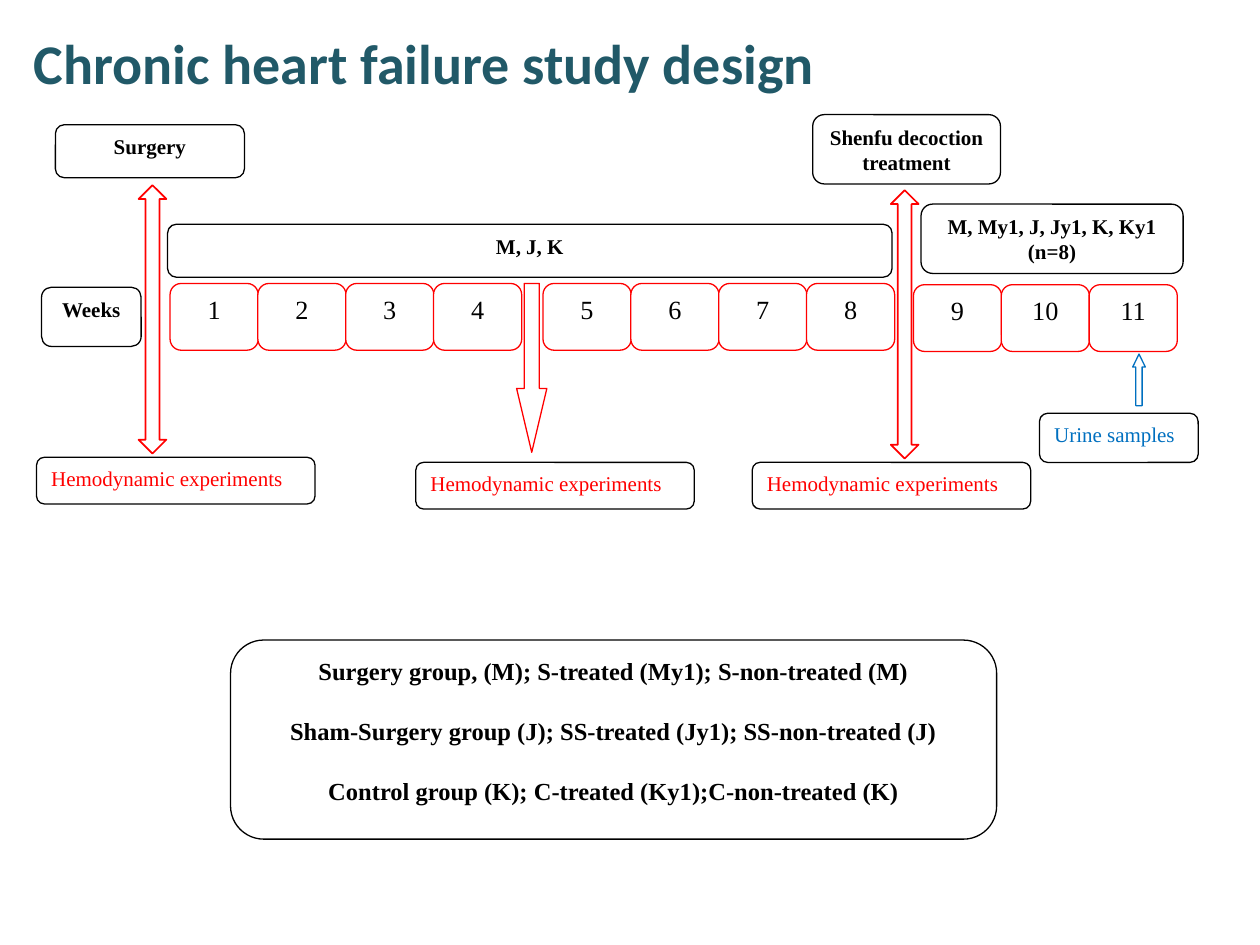
import pptx
import pptx.util
import pptx.dml.color
import pptx.enum.shapes
import pptx.enum.text

Inches, Pt = pptx.util.Inches, pptx.util.Pt
RGBColor = pptx.dml.color.RGBColor
SHAPE = pptx.enum.shapes.MSO_SHAPE
ALIGN = pptx.enum.text.PP_ALIGN
ANCHOR = pptx.enum.text.MSO_ANCHOR

BLACK = RGBColor(0x00, 0x00, 0x00)
WHITE = RGBColor(0xFF, 0xFF, 0xFF)
RED = RGBColor(0xFF, 0x00, 0x00)
BLUE = RGBColor(0x00, 0x70, 0xC0)
TEAL = RGBColor(0x21, 0x59, 0x68)

WEEK_WIDTH, WEEK_HEIGHT = 0.7, 0.53
WEEK_PITCH = 0.697


def add_span(para, text, size, color, bold, font="Times New Roman"):
    span = para.add_run()
    span.text = text
    span.font.name = font
    span.font.size = Pt(size)
    span.font.bold = bold
    span.font.color.rgb = color


def add_outline(page, kind, left, top, width, height, line_color, line_width=0.75):
    """Add a white preset shape with a thin coloured outline."""
    shape = page.shapes.add_shape(
        kind, Inches(left), Inches(top), Inches(width), Inches(height))
    shape.shadow.inherit = False
    shape.fill.solid()
    shape.fill.fore_color.rgb = WHITE
    shape.line.color.rgb = line_color
    shape.line.width = Pt(line_width)
    return shape


def add_box(page, left, top, width, height, lines, size=12, color=BLACK,
            bold=True, line_color=BLACK, align=ALIGN.CENTER, gap=0):
    """Add a rounded box with one paragraph per line, set gap points apart."""
    box = add_outline(page, SHAPE.ROUNDED_RECTANGLE, left, top, width, height, line_color)
    frame = box.text_frame
    frame.word_wrap = True
    frame.vertical_anchor = ANCHOR.TOP
    for index, text in enumerate(lines):
        para = frame.add_paragraph() if index else frame.paragraphs[0]
        para.alignment = align
        if index and gap:
            para.space_before = Pt(gap)
        add_span(para, text, size, color, bold)


def add_title(page, left, top, width, height):
    box = page.shapes.add_textbox(Inches(left), Inches(top), Inches(width), Inches(height))
    frame = box.text_frame
    frame.word_wrap = True
    frame.vertical_anchor = ANCHOR.MIDDLE
    add_span(frame.paragraphs[0], "Chronic heart failure study design", 32, TEAL, True, "Calibri")


def add_weeks(page, left, top, first, last):
    for week in range(first, last + 1):
        add_box(page, left + (week - first) * WEEK_PITCH, top, WEEK_WIDTH, WEEK_HEIGHT,
                [str(week)], size=15, bold=False, line_color=RED)


def add_sample_label(page, left, top, width, height, text, color):
    add_box(page, left, top, width, height, [text], color=color, bold=False,
            align=ALIGN.JUSTIFY)


def add_timeline(page):
    add_box(page, 0.33, 2.28, 0.79, 0.47, ["Weeks"])
    add_box(page, 1.33, 1.78, 5.75, 0.42, ["M, J, K"])
    add_box(page, 7.31, 1.62, 2.08, 0.55, ["M, My1, J, Jy1, K, Ky1 (n=8)"])
    add_weeks(page, 1.35, 2.25, 1, 4)
    add_weeks(page, 4.31, 2.25, 5, 8)
    add_weeks(page, 7.25, 2.26, 9, 11)


def add_events(page):
    add_box(page, 0.44, 0.99, 1.5, 0.42, ["Surgery"])
    add_box(page, 6.45, 0.91, 1.49, 0.55, ["Shenfu decoction treatment"])
    for left, top in ((1.1, 1.47), (7.07, 1.51)):
        add_outline(page, SHAPE.UP_DOWN_ARROW, left, top, 0.22, 2.13, RED, 1)

    midpoint = add_outline(page, SHAPE.RIGHT_ARROW, 3.55, 2.8, 1.34, 0.24, RED)
    midpoint.rotation = 90
    midpoint.adjustments[1] = 2.11

    for left, top in ((0.29, 3.63), (3.3, 3.67), (5.97, 3.67)):
        add_sample_label(page, left, top, 2.21, 0.37, "Hemodynamic experiments", RED)

    urine_arrow = add_outline(page, SHAPE.UP_ARROW, 8.99, 2.81, 0.1, 0.41, BLUE)
    urine_arrow.adjustments[1] = 1.03
    add_sample_label(page, 8.25, 3.28, 1.26, 0.39, "Urine samples", BLUE)


def add_group_key(page, left, top, width, height):
    add_box(page, left, top, width, height, [
        "Surgery group, (M); S-treated (My1); S-non-treated (M)",
        "Sham-Surgery group (J); SS-treated (Jy1); SS-non-treated (J)",
        "Control group (K); C-treated (Ky1);C-non-treated (K)",
    ], size=14, gap=17.6)


def main():
    deck = pptx.Presentation()
    deck.slide_width, deck.slide_height = Inches(10), Inches(7.5)
    page = deck.slides.add_slide(deck.slide_layouts[6])
    add_title(page, 0.17, 0, 6.75, 0.98)
    add_timeline(page)
    add_events(page)
    add_group_key(page, 1.83, 5.08, 6.08, 1.58)
    deck.save("out.pptx")


if __name__ == "__main__":
    main()
